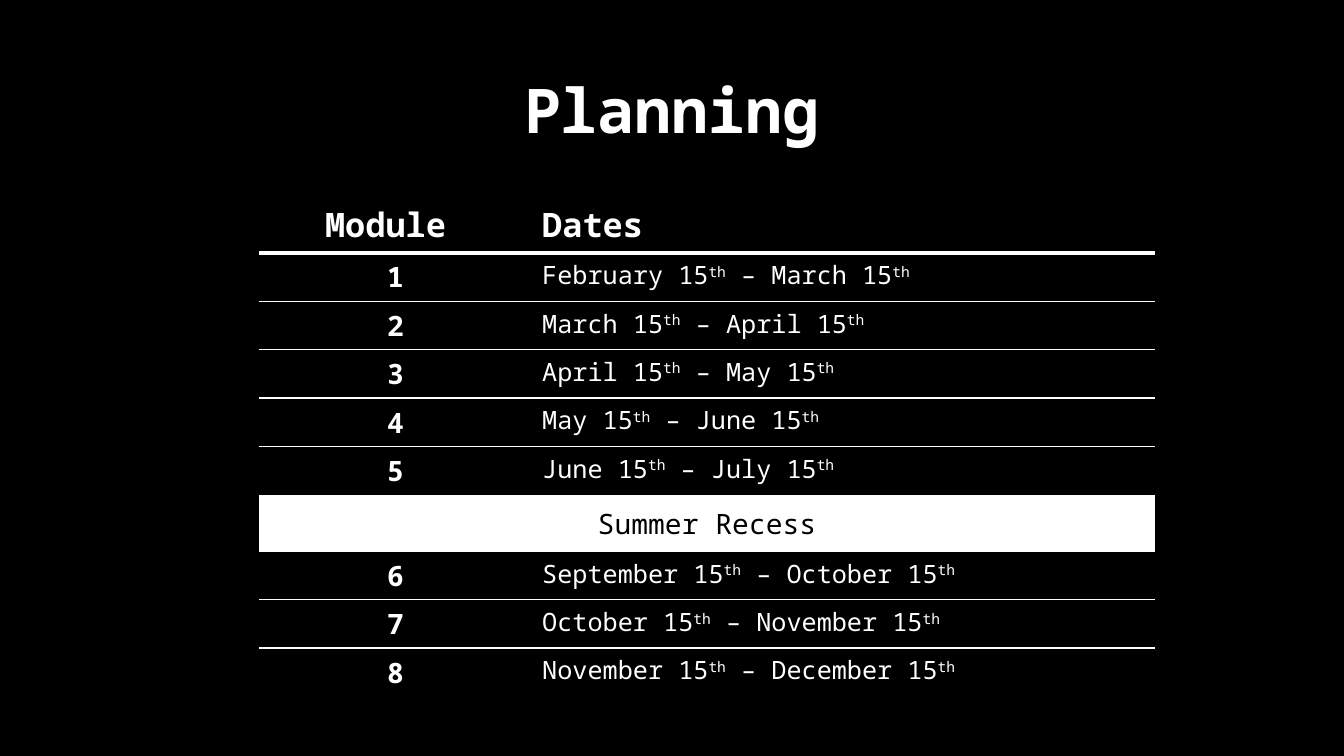
from pptx import Presentation
from pptx.dml.color import RGBColor
from pptx.enum.text import MSO_ANCHOR, PP_ALIGN
from pptx.oxml.ns import qn
from pptx.util import Cm, Pt
from lxml import etree

CENTER, LEFT = PP_ALIGN.CENTER, PP_ALIGN.LEFT
MIDDLE, TOP = MSO_ANCHOR.MIDDLE, MSO_ANCHOR.TOP
BLACK, WHITE = "000000", "FFFFFF"
BREAK = "Summer Recess"
TERMS = [
    ("February", "March"), ("March", "April"), ("April", "May"),
    ("May", "June"), ("June", "July"), BREAK,
    ("September", "October"), ("October", "November"),
    ("November", "December"),
]


def write(para, text, size, bold=False, tint=WHITE, raised=False):
    run = para.add_run()
    run.text = text
    style = {"name": "Noto Sans Mono", "size": Pt(size), "bold": bold}
    for key, value in style.items():
        setattr(run.font, key, value)
    run.font.color.rgb = RGBColor.from_string(tint)
    if raised:
        run._r.get_or_add_rPr().set("baseline", "30000")


def dress(cell, fill, anchor, **rules):
    """Fill a cell and rule its edges; rules maps an edge (T, B) to a width in points."""
    props = cell._tc.get_or_add_tcPr()
    for edge in "LRTB":
        line = etree.SubElement(props, qn("a:ln" + edge))
        width = rules.get(edge, 0)
        if width:
            line.set("w", str(Pt(width)))
            paint = etree.SubElement(line, qn("a:solidFill"))
            etree.SubElement(paint, qn("a:srgbClr"), val=WHITE)
        else:
            etree.SubElement(line, qn("a:noFill"))
    cell.fill.solid()
    cell.fill.fore_color.rgb = RGBColor.from_string(fill)
    cell.vertical_anchor = anchor


deck = Presentation()
deck.slide_width, deck.slide_height = Cm(33.87), Cm(19.05)
slide = deck.slides.add_slide(deck.slide_layouts[5])
slide.background.fill.solid()
slide.background.fill.fore_color.rgb = RGBColor.from_string(BLACK)

# Title
title = slide.shapes.title
place = {"left": 2.33, "top": 1.01, "width": 29.21, "height": 3.68}
for key, value in place.items():
    setattr(title, key, Cm(value))
title.text_frame.vertical_anchor = MIDDLE
head = title.text_frame.paragraphs[0]
head.alignment = CENTER
head.line_spacing = 0.9
write(head, "Planning", 44, bold=True)

# Table
count = len(TERMS) + 1
frame = slide.shapes.add_table(count, 2, Cm(6.53), Cm(4.95), Cm(22.58), Cm(11.63))
table = frame.table
table.horz_banding = False
for col, width in zip(table.columns, (6.88, 15.7)):
    col.width = Cm(width)
for row in table.rows:
    row.height = Cm(1.04)

# Header row
table.rows[0].height = Cm(1.42)
labels = [("Module ", CENTER, 12), ("Dates", LEFT, 6)]
for col, (label, align, after) in enumerate(labels):
    cell = table.cell(0, col)
    dress(cell, BLACK, MIDDLE, B=3)
    para = cell.text_frame.paragraphs[0]
    para.alignment = align
    para.space_after = Pt(after)
    write(para, label, 24, bold=True)

# Modules and the recess between them
module = 0
for row, term in enumerate(TERMS, 1):
    left, right = table.cell(row, 0), table.cell(row, 1)
    para = left.text_frame.paragraphs[0]
    para.alignment = CENTER
    if term == BREAK:
        table.rows[row].height = Cm(1.42)
        left.merge(right)
        for cell in (left, right):
            dress(cell, WHITE, MIDDLE)
        write(para, BREAK, 20, tint=BLACK)
        continue
    module += 1
    rules = {"T": 3 if row == 1 else 1, "B": 1 if row < count - 1 else 0}
    for cell in (left, right):
        dress(cell, BLACK, TOP, **rules)
    write(para, str(module), 20, bold=True)
    dates = right.text_frame.paragraphs[0]
    start, end = term
    for text in (f"{start} 15", f" – {end} 15"):
        write(dates, text, 18)
        write(dates, "th", 18, raised=True)

deck.save("out.pptx")
